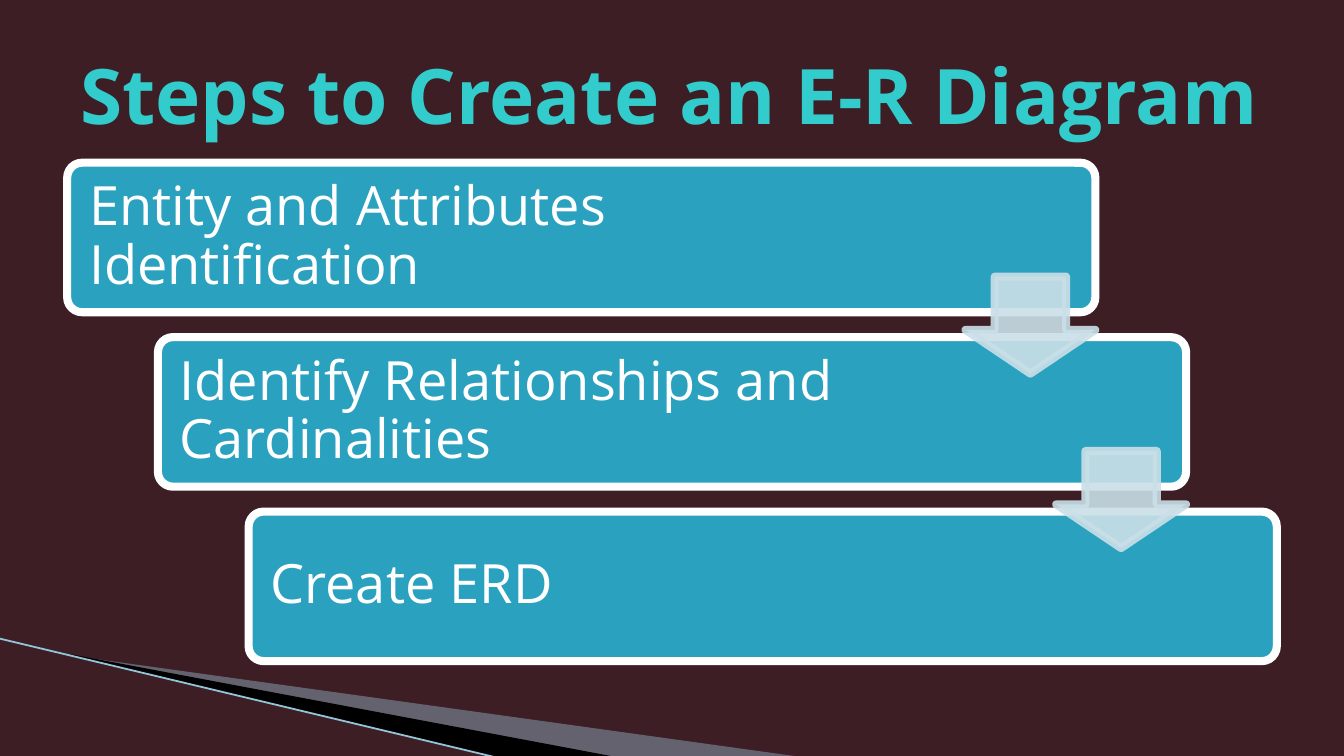
from lxml import etree
from pptx import Presentation
from pptx.dml.color import RGBColor
from pptx.enum import shapes, text
from pptx.oxml import ns
from pptx.util import Pt

PLUM = RGBColor(0x3E, 0x1E, 0x25)
TEAL = RGBColor(0x2A, 0xA2, 0xBF)
AQUA = RGBColor(0x33, 0xCC, 0xCC)
PALE = RGBColor(0xCA, 0xDF, 0xE8)
MIST = RGBColor(0x9C, 0xCA, 0xDC)
SKY = RGBColor(0x93, 0xC5, 0xD8)
WHITE = RGBColor(0xFF, 0xFF, 0xFF)
BLACK = RGBColor(0, 0, 0)
FONT = "Open Sans"
STEPS = [
    "Entity and Attributes Identification",
    "Identify Relationships and Cardinalities",
    "Create ERD",
]


def fade(fill, rate):
    tag = fill._xPr.find(".//" + ns.qn("a:srgbClr"))
    etree.SubElement(tag, ns.qn("a:alpha"), val=str(rate * 1000))


def paint(shape, color, edge=None, rate=100):
    shape.shadow.inherit = False
    shape.fill.solid()
    shape.fill.fore_color.rgb = color
    if edge is None:
        shape.line.fill.background()
    else:
        shape.line.color.rgb = edge
        shape.line.width = Pt(4.33)
    if rate < 100:
        fade(shape.fill, rate)
        if edge is not None:
            fade(shape.line.fill, rate)


def write(slide, box, words, size, color, pad, bold=False):
    frame = slide.shapes.add_textbox(*map(Pt, box)).text_frame
    frame.word_wrap = True
    frame.vertical_anchor = text.MSO_ANCHOR.MIDDLE
    frame.margin_left = frame.margin_right = Pt(pad[0])
    frame.margin_top = frame.margin_bottom = Pt(pad[1])
    frame.text = words
    line = frame.paragraphs[0]
    font = line.runs[0].font
    font.name, font.size, font.bold = FONT, Pt(size), bold
    font.color.rgb = color
    return line


def wedge(slide, dots, color, rate=100):
    dots = [(Pt(x), Pt(y)) for x, y in dots]
    form = slide.shapes.build_freeform(*dots[0], scale=1.0)
    form.add_line_segments(dots[1:], close=True)
    paint(form.convert_to_shape(), color, rate=rate)


def decor(slide, box):
    left, top, width, high = box
    base = top + high
    wedge(slide, [(left + 39.6, top + 9.4), (left + 428.4, base), (left + 328.3, base)], MIST, 40)
    wedge(slide, [(left + 38.2, top + 8.6), (left + 329, base), (left + 267.8, base + 0.7),
                  (left + 38.9, top + 9.4)], BLACK)
    line = slide.shapes.add_connector(
        shapes.MSO_CONNECTOR.STRAIGHT, Pt(left - 0.7), Pt(top), Pt(left + 267.1), Pt(base + 0.7))
    line.line.color.rgb = SKY
    line.line.width = Pt(0.95)
    etree.SubElement(line._element.spPr, ns.qn("a:effectLst"))


def stairs(slide, box):
    left, top, width, high = box
    wide, tall = width * 0.85, high * 0.3
    dx = (width - wide) / (len(STEPS) - 1)
    dy = (high - tall) / (len(STEPS) - 1)
    spots = [(left + i * dx, top + i * dy) for i in range(len(STEPS))]
    for (x, y), words in zip(spots, STEPS):
        card = slide.shapes.add_shape(
            shapes.MSO_SHAPE.ROUNDED_RECTANGLE, Pt(x), Pt(y), Pt(wide), Pt(tall))
        card.adjustments[0] = 0.1
        paint(card, TEAL, WHITE)
        span = 435.6 if y == top else 426.2
        line = write(slide, (x + 3, y + 2.4, span, tall - 4.8), words, 29, WHITE, (8.7, 8.7))
        line.line_spacing = 0.9
    for x, y in spots[:-1]:
        arrow = slide.shapes.add_shape(
            shapes.MSO_SHAPE.DOWN_ARROW, Pt(x + wide - 69.6), Pt(y + 61), Pt(69.6), Pt(52))
        arrow.adjustments[0] = 0.55
        arrow.adjustments[1] = 0.45
        paint(arrow, PALE, PALE, 90)


def title(slide, box):
    write(slide, box, "Steps to Create an E-R Diagram", 41, AQUA, (7.2, 3.6), True)


def main():
    deck = Presentation()
    deck.slide_width, deck.slide_height = Pt(720), Pt(405)
    slide = deck.slides.add_slide(deck.slide_layouts[6])
    slide.background.fill.solid()
    slide.background.fill.fore_color.rgb = PLUM
    decor(slide, (0, 342, 720, 63.4))
    stairs(slide, (36, 87.2, 648, 267))
    title(slide, (36, 16.6, 648, 67.7))
    deck.save("out.pptx")


if __name__ == "__main__":
    main()
